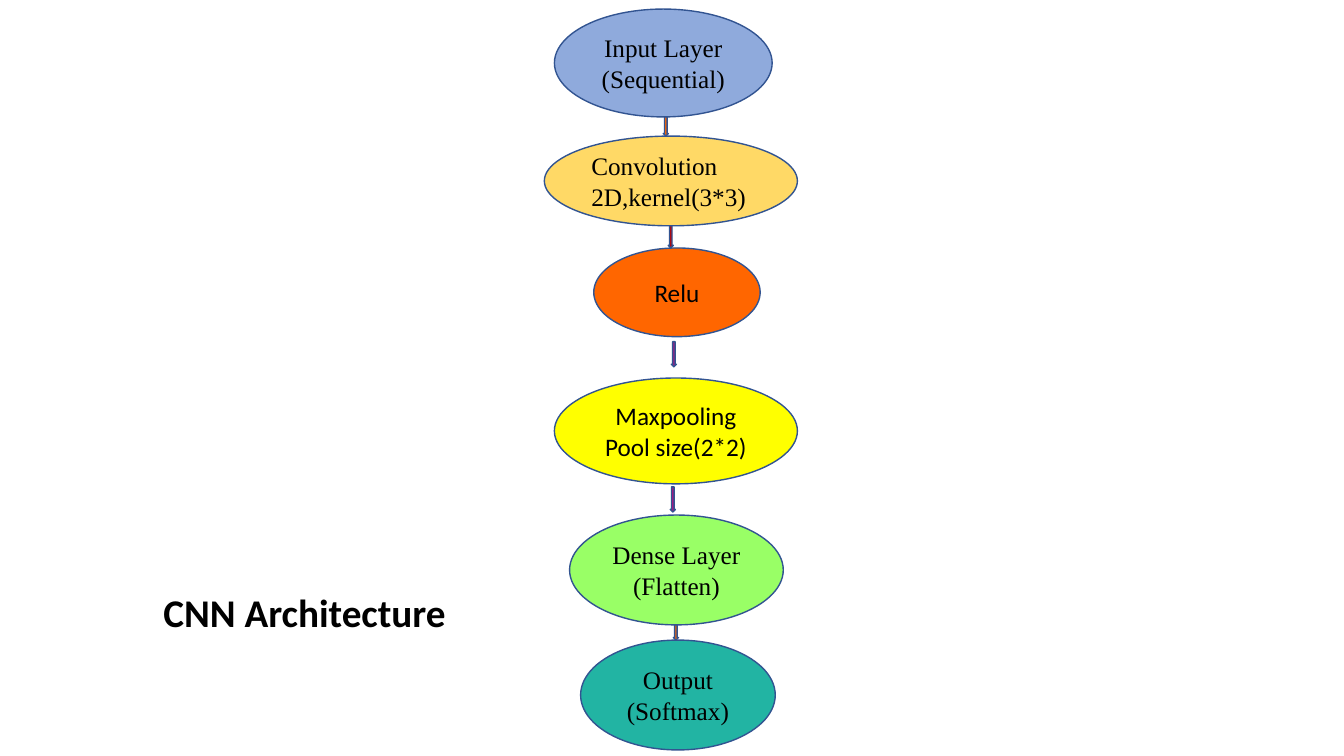
from pptx import Presentation
from pptx.dml.color import RGBColor
from pptx.enum.shapes import MSO_SHAPE
from pptx.enum.text import MSO_ANCHOR, PP_ALIGN
from pptx.util import Inches, Pt

OVAL, ARROW = MSO_SHAPE.OVAL, MSO_SHAPE.DOWN_ARROW
LEFT, CENTER = PP_ALIGN.LEFT, PP_ALIGN.CENTER
MIDDLE = MSO_ANCHOR.MIDDLE
WIDTH, HEIGHT = 13.33, 7.5

THEME = {
    "serif": "Times New Roman", "sans": "Calibri",
    "title": 28, "body": 18,
    "text": "000000", "outline": "325491",
    "blue": "8FAADC", "gold": "FFD966", "orange": "FF6600", "yellow": "FFFF00",
    "green": "99FF66", "teal": "22B4A3", "red": "C00000", "purple": "AC1481",
}

TITLE = "CNN Architecture"
TITLE_BOX = (8.33, 77.07, 28.66, 7.6)

# Lines, fill, font, alignment, (left, top, width, height) in percent of the slide
LAYERS = [
    (["Input Layer", "(Sequential)"], "blue", "serif", CENTER, (41.25, 1.2, 16.2, 14.27)),
    (["Convolution 2D,kernel(3*3)"], "gold", "serif", LEFT, (40.5, 18, 18.83, 11.87)),
    (["Relu"], "orange", "sans", CENTER, (44.18, 32.8, 12.38, 11.73)),
    (["Maxpooling", "Pool size(2*2)"], "yellow", "sans", CENTER, (41.25, 50, 18.08, 14)),
    (["Dense Layer", "(Flatten)"], "green", "serif", CENTER, (42.38, 68.13, 15.9, 14.53)),
    (["Output", "(Softmax)"], "teal", "serif", CENTER, (43.2, 84.67, 14.48, 14.53)),
]
# Fill and horizontal centre of the arrow below each layer but the last
ARROWS = [("orange", 49.54), ("red", 49.91), ("purple", 50.14),
          ("purple", 50.06), ("orange", 50.29)]
ARROW_WIDTH, ARROW_MAX_HEIGHT, ARROW_MAX_OFFSET = 0.38, 3.33, 0.67


def color(name):
    return RGBColor.from_string(THEME[name])


def place(box):
    """Turn percentages of the slide into lengths."""
    x, y, w, h = box
    return [Inches(share * side / 100)
            for share, side in ((x, WIDTH), (y, HEIGHT), (w, WIDTH), (h, HEIGHT))]


def write(tf, lines, font="sans", size="body", bold=False, align=CENTER):
    tf.word_wrap = True
    tf.vertical_anchor = MIDDLE
    for i, line in enumerate(lines):
        p = tf.paragraphs[0] if i == 0 else tf.add_paragraph()
        p.alignment = align
        r = p.add_run()
        r.text = line
        r.font.name, r.font.size, r.font.bold = THEME[font], Pt(THEME[size]), bold
        r.font.color.rgb = color("text")


def add_filled(s, kind, box, fill):
    sp = s.shapes.add_shape(kind, *place(box))
    sp.shadow.inherit = False
    sp.fill.solid()
    sp.fill.fore_color.rgb = color(fill)
    sp.line.color.rgb = color("outline")
    sp.line.width = Pt(1)
    return sp


def main():
    prs = Presentation()
    prs.slide_width, prs.slide_height = Inches(WIDTH), Inches(HEIGHT)
    s = prs.slides.add_slide(prs.slide_layouts[5])

    title = s.shapes.title
    title.left, title.top, title.width, title.height = place(TITLE_BOX)
    write(title.text_frame, [TITLE], size="title", bold=True)

    for lines, fill, font, align, box in LAYERS:
        sp = add_filled(s, OVAL, box, fill)
        write(sp.text_frame, lines, font=font, align=align)

    for (fill, center), upper, lower in zip(ARROWS, LAYERS, LAYERS[1:]):
        _, top, _, height = upper[-1]
        bottom = top + height
        gap = lower[-1][1] - bottom
        length = min(gap, ARROW_MAX_HEIGHT)
        offset = min((gap - length) / 2, ARROW_MAX_OFFSET)
        add_filled(s, ARROW, (center - ARROW_WIDTH / 2, bottom + offset,
                              ARROW_WIDTH, length), fill)

    prs.save("out.pptx")


if __name__ == "__main__":
    main()
